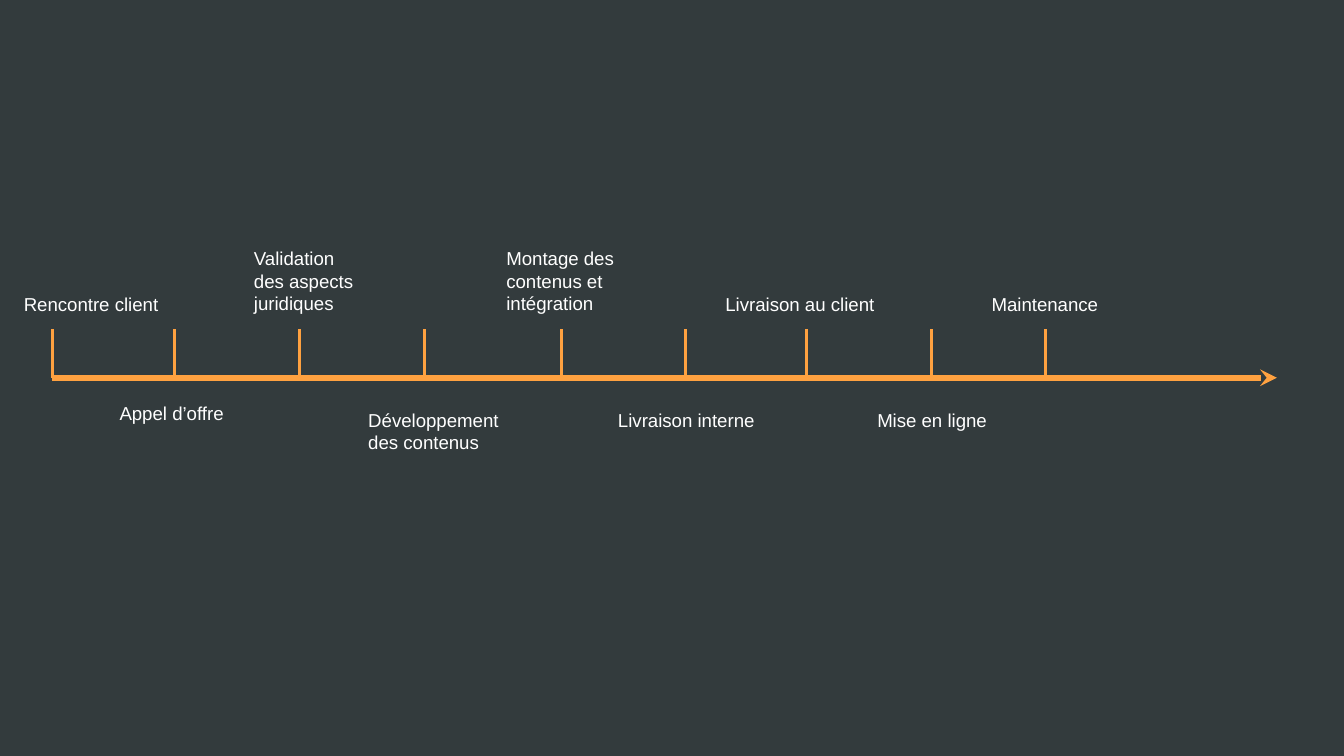
"""Build a one-slide project timeline with labels above and below the axis."""
from lxml import etree
from pptx import Presentation
from pptx.dml.color import RGBColor
from pptx.enum.shapes import MSO_CONNECTOR
from pptx.enum.text import MSO_ANCHOR, MSO_AUTO_SIZE
from pptx.oxml.ns import qn
from pptx.util import Cm, Pt

LINE = MSO_CONNECTOR.STRAIGHT
TOP = MSO_ANCHOR.TOP
FIXED = MSO_AUTO_SIZE.NONE
COLORS = {"back": "333B3D", "line": "FFA140", "text": "FFFFFF"}
FONT = "Arial"
AXIS_Y = 7.14
TICK_Y = 6.22
PAD = 0.25

deck = Presentation()
deck.slide_width = Cm(25.4)
deck.slide_height = Cm(14.29)
slide = deck.slides.add_slide(deck.slide_layouts[6])
back = slide.background.fill
back.solid()
back.fore_color.rgb = RGBColor.from_string(COLORS["back"])


def add_line(x1, y1, x2, y2, width):
    line = slide.shapes.add_connector(LINE, Cm(x1), Cm(y1), Cm(x2), Cm(y2))
    line.line.color.rgb = RGBColor.from_string(COLORS["line"])
    line.line.width = Pt(width)
    etree.SubElement(line._element.spPr, qn("a:effectLst"))
    return line


axis = add_line(0.99, AXIS_Y, 24.13, AXIS_Y, 3)
etree.SubElement(axis.line._get_or_add_ln(), qn("a:tailEnd"), type="stealth")

# tick, left, width, top below the axis (None = above), rows, label
steps = [
    (0.99, 0.2, 3.1, None, 1, "Rencontre client"),
    (3.3, 2.01, 2.57, 7.34, 1, "Appel d’offre"),
    (5.66, 4.55, 2.57, None, 3, "Validation des aspects juridiques"),
    (8.03, 6.71, 3.1, 7.47, 2, "Développement des contenus"),
    (10.62, 9.32, 2.57, None, 3, "Montage des contenus et intégration"),
    (12.95, 11.43, 3.28, 7.47, 1, "Livraison interne"),
    (15.24, 13.46, 3.43, None, 1, "Livraison au client"),
    (17.6, 16.33, 2.72, 7.47, 1, "Mise en ligne"),
    (19.76, 18.49, 2.57, None, 1, "Maintenance"),
]

for tick, left, width, top, rows, label in steps:
    add_line(tick, TICK_Y, tick, AXIS_Y, 1.5)
    height = 0.51 + 0.43 * rows
    if top is None:
        top = TICK_Y - height
    box = slide.shapes.add_textbox(Cm(left), Cm(top), Cm(width), Cm(height))
    frame = box.text_frame
    frame.word_wrap = True
    frame.auto_size = FIXED
    frame.vertical_anchor = TOP
    frame.margin_left = frame.margin_right = Cm(PAD)
    frame.margin_top = frame.margin_bottom = Cm(PAD)
    run = frame.paragraphs[0].add_run()
    run.text = label
    run.font.name = FONT
    run.font.size = Pt(10)
    run.font.color.rgb = RGBColor.from_string(COLORS["text"])

deck.save("out.pptx")
